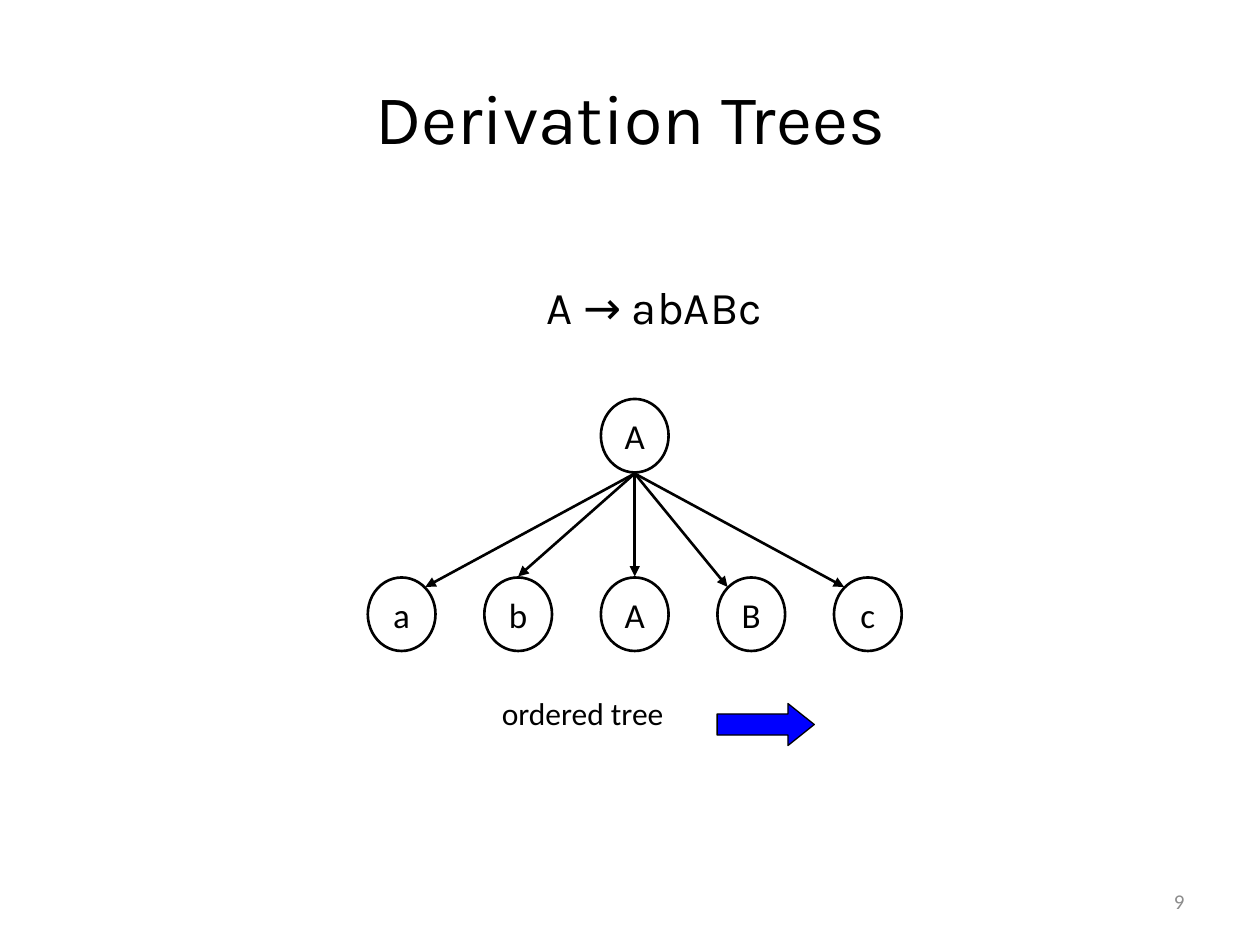
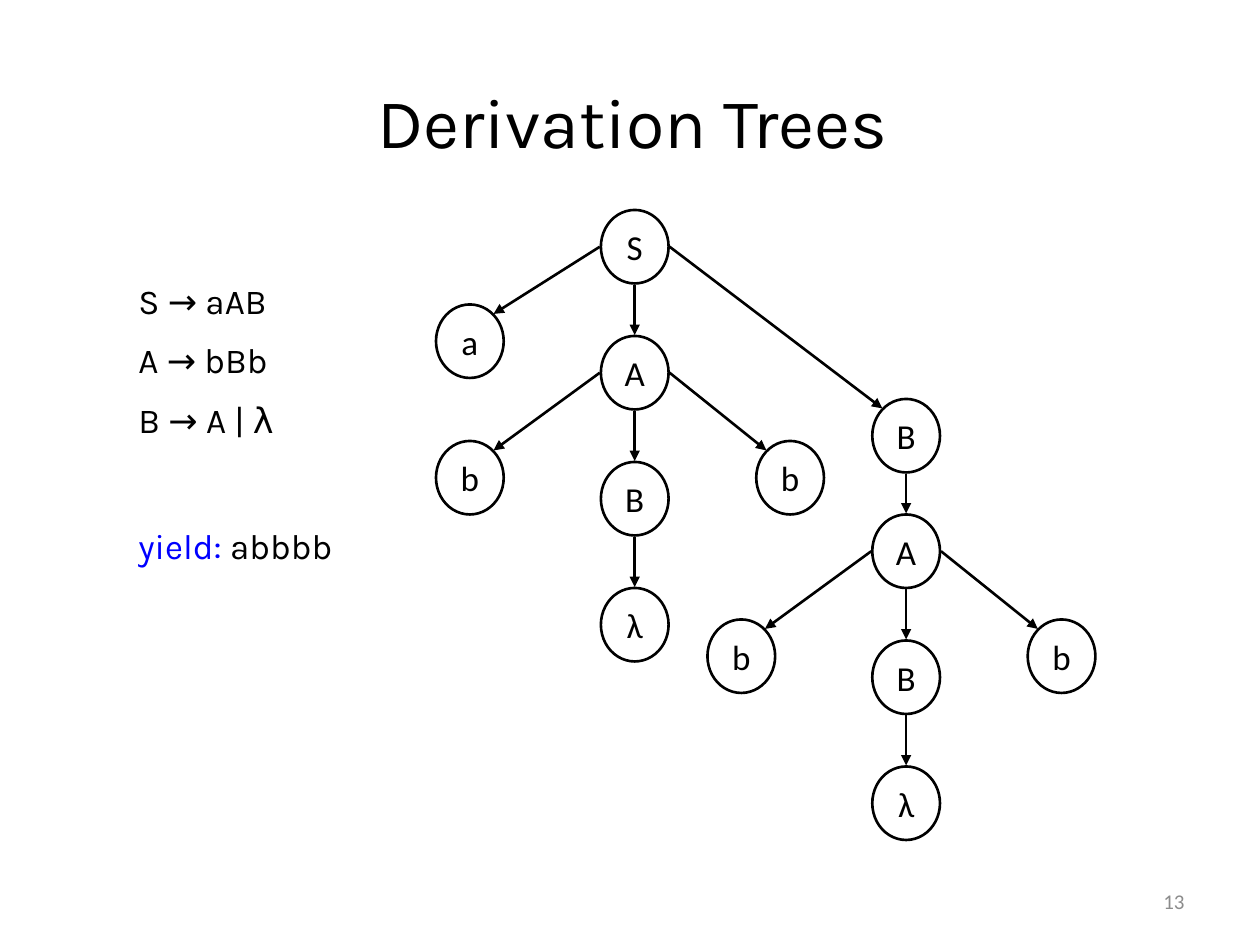
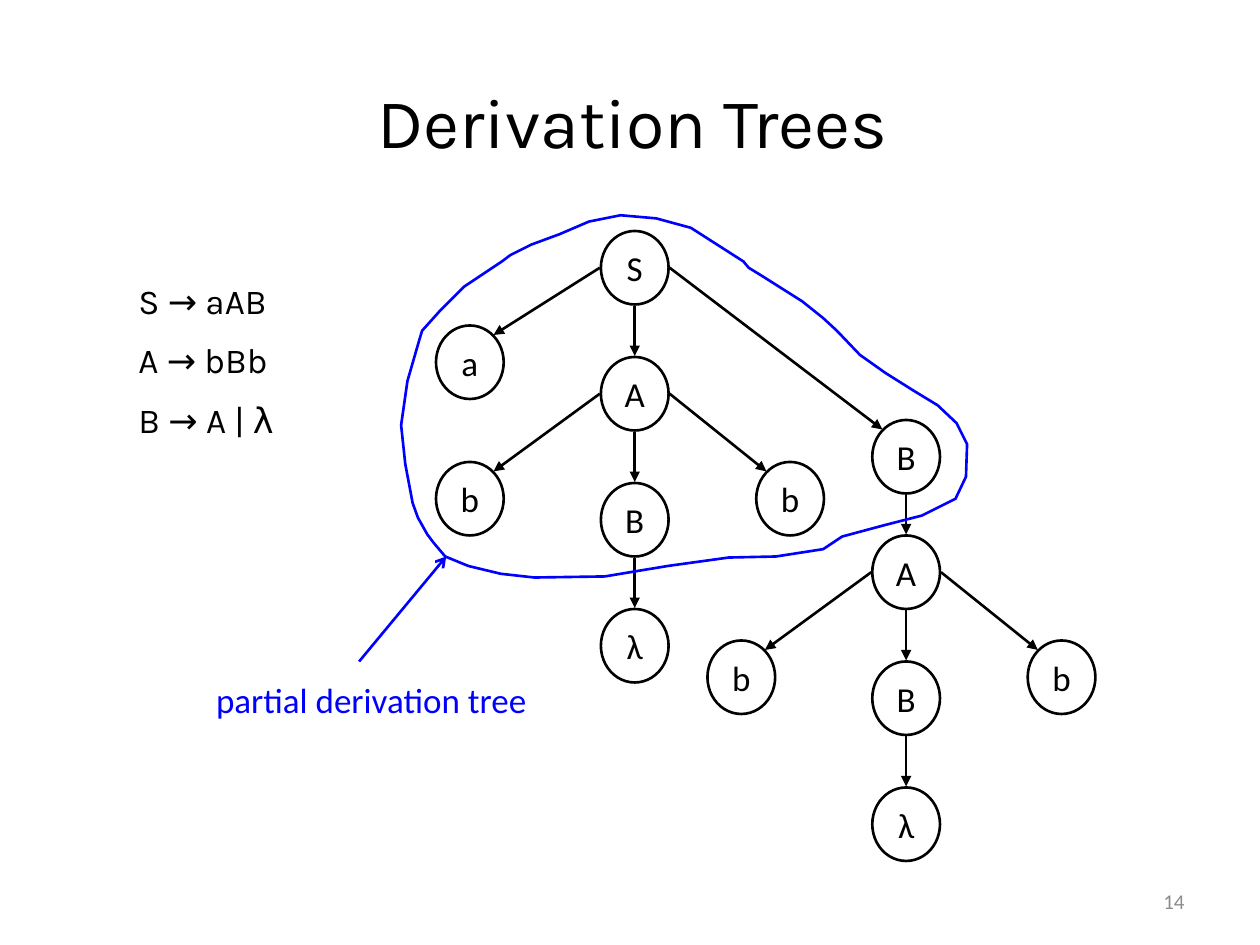
from lxml.etree import SubElement as Sub
from pptx import Presentation
from pptx.dml.color import RGBColor
from pptx.enum.shapes import MSO_CONNECTOR as Link, MSO_SHAPE as Form
from pptx.enum.text import MSO_ANCHOR as Anchor, PP_ALIGN as Align
from pptx.oxml.ns import qn
from pptx.util import Inches, Pt

COLS, ROWS = 120, 90
WIDE, HIGH = Inches(10), Inches(7.5)
CELL = WIDE // COLS
BLACK, BLUE, GREY = "000000", "0000FF", "8C8C8C"
HEAD, BODY = "Karla", "Calibri"
NODE_W, NODE_H, GAP = 6.45, 7, 0.1
MID = 60.45
RULES = ["S → aAB", "A → bBb", "B → A | λ"]
LOOP = [
    (0.6, 15.8), (1.7, 12), (2, 11), (3.7, 9.1), (6, 6.8), (9.6, 4.4),
    (10.4, 3.8), (12.4, 2.8), (15.1, 1.8), (17.9, 0.6), (20.9, 0),
    (24.3, 0.3), (27.6, 1.2), (32.6, 4.4), (33.1, 5), (34.4, 5.8),
    (38.2, 8.2), (40.2, 9.8), (41.5, 11), (43.7, 13.3), (46.1, 15),
    (48.8, 16.7), (51.1, 18.1), (52.9, 19.8), (53.9, 21.8), (53.8, 24.9),
    (52.8, 27), (49.6, 28.6), (46.1, 29.5), (42, 30.6), (40.2, 31.8),
    (35.7, 32.5), (31.2, 32.6), (25.4, 33.4), (19.4, 34.4), (12.7, 34.5),
    (9.5, 34.15), (6.4, 33.4), (4.2, 32.5), (3.1, 31.2), (2.5, 30.4),
    (1.6, 28.8), (1.1, 27.4), (0.4, 23.7), (0, 20),
]


def tint(code):
    """Turn a hex string into a colour."""
    return RGBColor.from_string(code)


def emu(*cells):
    """Turn grid cells into slide lengths."""
    return [round(cell * CELL) for cell in cells]


def style(par, size, face, color=BLACK, align=Align.LEFT):
    """Set the font and alignment of a paragraph."""
    par.alignment = align
    par.font.size, par.font.name = Pt(size), face
    par.font.color.rgb = tint(color)


def label(slide, box, text, size, face, color=BLACK, align=Align.LEFT,
          anchor=Anchor.TOP):
    """Place text in a box and return its frame."""
    frame = slide.shapes.add_textbox(*emu(*box)).text_frame
    frame.word_wrap, frame.vertical_anchor = True, anchor
    frame.text = text
    for par in frame.paragraphs:
        style(par, size, face, color, align)
    return frame


def base(deck, number, box):
    """Add a slide with its title and page number."""
    slide = deck.slides.add_slide(deck.slide_layouts[6])
    label(slide, (86, 83.4, 28, 4.8), str(number), 12, BODY, GREY,
          Align.RIGHT, Anchor.MIDDLE)
    label(slide, box, "Derivation Trees", 40, HEAD, BLACK, Align.CENTER,
          Anchor.MIDDLE)
    return slide


def arrow(slide, start, end, color=BLACK, tip="triangle"):
    """Draw an arrow between two grid points."""
    line = slide.shapes.add_connector(Link.STRAIGHT, *emu(*start, *end))
    line.line.color.rgb, line.line.width = tint(color), Pt(1.5)
    Sub(line.line._get_or_add_ln(), qn("a:tailEnd"), type=tip)
    Sub(line._element.spPr, qn("a:effectLst"))


def node(slide, x, y, text):
    """Draw a tree node with its top centre at a grid point."""
    oval = slide.shapes.add_shape(
        Form.OVAL, *emu(x - NODE_W / 2, y, NODE_W, NODE_H))
    oval.shadow.inherit = False
    oval.fill.background()
    oval.line.color.rgb, oval.line.width = tint(BLACK), Pt(1.5)
    frame = oval.text_frame
    frame.word_wrap, frame.vertical_anchor = False, Anchor.MIDDLE
    frame.text = text
    style(frame.paragraphs[0], 20, BODY, BLACK, Align.CENTER)
    return x, y


def edge(slide, top, low, fan=False):
    """Join a parent to a child, from its base if fan is set, else its side."""
    (x, y), (cx, cy) = top, low
    side = (cx > x) - (cx < x)
    if fan or not side:
        start = x, y + NODE_H + GAP
    else:
        start = x + side * (NODE_W / 2 + GAP), y + NODE_H / 2
    arrow(slide, start, (cx - side * NODE_W * 0.35, cy + abs(side) - GAP))


def grow(slide, top, kids):
    """Add children at offsets from a parent and join them to it."""
    spots = [node(slide, top[0] + dx, top[1] + dy, text)
             for text, dx, dy in kids]
    for spot in spots:
        edge(slide, top, spot)
    return spots


def branch(slide, top):
    """Grow the children that the rules give to an A node."""
    kids = [("b", -15.7, 10), ("B", 0, 12), ("b", 14.8, 10)]
    spots = grow(slide, top, kids)
    grow(slide, spots[1], [("λ", 0, 12)])


def tree(slide, x, y):
    """Draw the whole tree of S below a grid point."""
    root = node(slide, x, y, "S")
    kids = [("a", -15.7, 9), ("A", 0, 12), ("B", 25.85, 18)]
    spots = grow(slide, root, kids)
    branch(slide, spots[1])
    branch(slide, grow(slide, spots[2], [("A", 0, 11)])[0])


def rules(slide, box):
    """List the grammar rules and return their frame."""
    frame = label(slide, box, "\n".join(RULES), 20, HEAD)
    for par in frame.paragraphs[:-1]:
        par.space_after = Pt(10)
    return frame


def answer(frame):
    """Add the yield below the rules."""
    frame.paragraphs[-1].space_after = Pt(48)
    par = frame.add_paragraph()
    par.font.size, par.font.name = Pt(20), HEAD
    for text, color in (("yield:", BLUE), (" abbbb", BLACK)):
        run = par.add_run()
        run.text = text
        run.font.color.rgb = tint(color)


def loop(slide, x, y):
    """Draw the closed outline from a top left grid point."""
    dots = [emu(*dot) for dot in LOOP]
    pen = slide.shapes.build_freeform(*dots[0])
    pen.add_line_segments(dots[1:], close=True)
    ring = pen.convert_to_shape(*emu(x, y))
    ring.shadow.inherit = False
    ring.fill.background()
    ring.line.color.rgb, ring.line.width = tint(BLUE), Pt(1.5)


def fan(slide, x, y):
    """Draw a root with a row of ordered children."""
    root = node(slide, x, y, "A")
    for i, text in enumerate("abABc"):
        spot = node(slide, x + (i - 2) * 11.1, y + 17, text)
        if text == "b":
            arrow(slide, (x, y + NODE_H + GAP), (spot[0], spot[1] - GAP))
        else:
            edge(slide, root, spot, True)


def order(slide, x, y):
    """Show the caption and the arrow for the child order."""
    label(slide, (x, y, 27.8, 4.8), "ordered tree", 18, BODY, BLACK,
          Align.CENTER)
    sign = slide.shapes.add_shape(
        Form.RIGHT_ARROW, *emu(x + 26.7, y + 1.5, 9.25, 4))
    sign.adjustments[1] = 0.625
    sign.shadow.inherit = False
    sign.fill.solid()
    sign.fill.fore_color.rgb = tint(BLUE)
    sign.line.color.rgb, sign.line.width = tint(BLACK), Pt(0.75)


def main():
    """Build and save the slides."""
    deck = Presentation()
    deck.slide_width, deck.slide_height = WIDE, HIGH

    first = base(deck, 9, (6, 3.6, 108, 15))
    label(first, (8.8, 26, 107, 6), "A → abABc", 26, HEAD, BLACK,
          Align.CENTER)
    fan(first, MID, 38)
    order(first, 41.6, 65.5)

    title, left = (9.2, 4, 102, 15), (12, 26, 97, 54)
    full = base(deck, 13, title)
    answer(rules(full, left))
    tree(full, MID, 20)

    part = base(deck, 14, title)
    rules(part, left)
    tree(part, MID, 22)
    loop(part, 38.2, 20.5)
    label(part, (19.4, 64, 39.7, 5.2), "partial derivation tree", 20, BODY,
          BLUE)
    arrow(part, (34.2, 63), (42.5, 53), BLUE, "arrow")

    deck.save("out.pptx")


if __name__ == "__main__":
    main()
